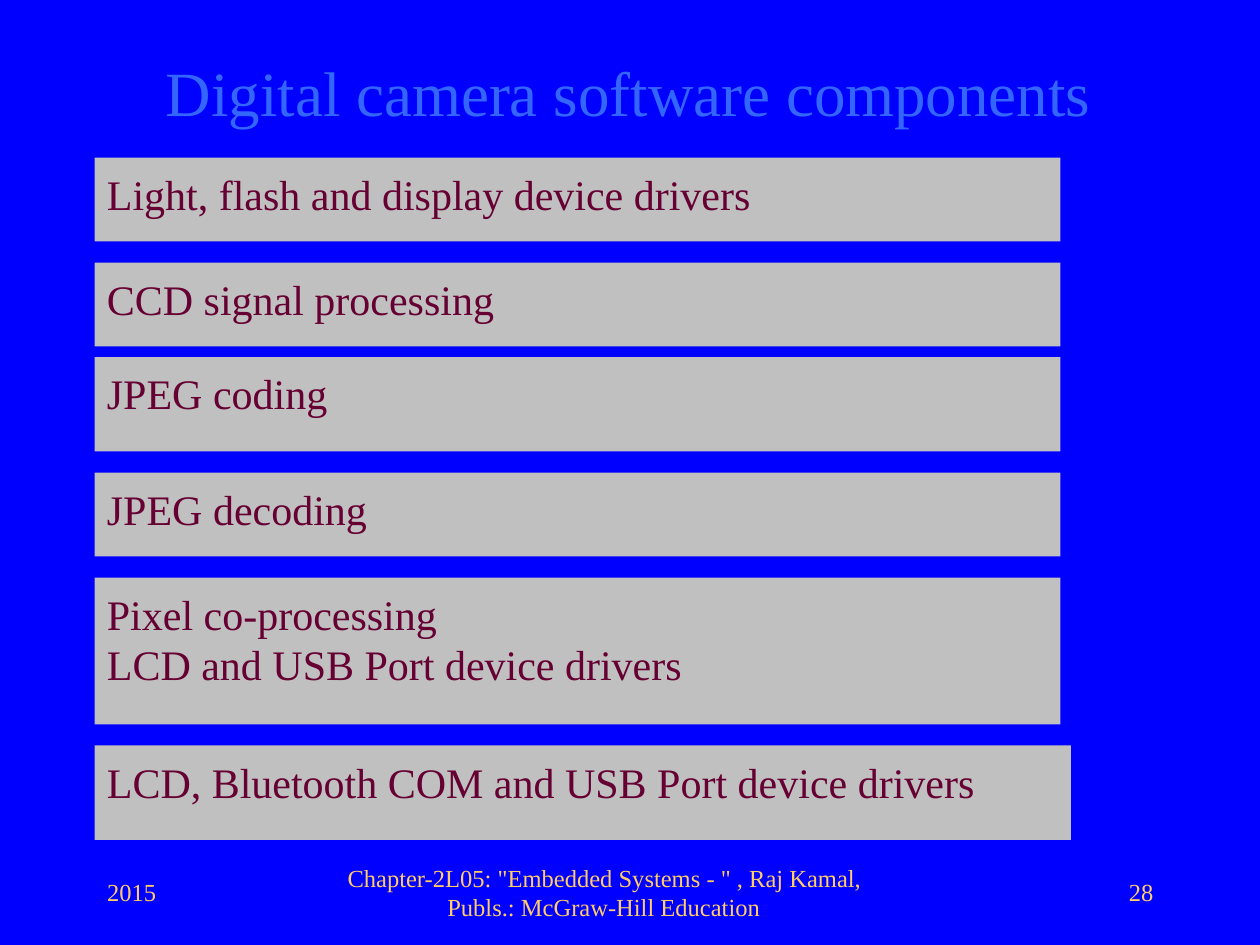
from dataclasses import dataclass

from pptx import Presentation
from pptx.dml.color import RGBColor
from pptx.enum.shapes import MSO_SHAPE as Preset
from pptx.enum.text import MSO_ANCHOR as Anchor, MSO_AUTO_SIZE as AutoSize, PP_ALIGN as Align
from pptx.shapes.base import BaseShape
from pptx.slide import Slide
from pptx.util import Emu, Pt

PX = 914400 // 120  # EMU in one px, 120 px to the inch


@dataclass(frozen=True)
class Theme:
    font: str = "Times New Roman"
    background: str = "0000FF"
    title: str = "3366FF"
    bar: str = "C0C0C0"
    bar_text: str = "660033"
    footer: str = "FFCC66"
    title_size: int = 36
    bar_size: int = 24
    footer_size: int = 14


@dataclass(frozen=True)
class Box:
    left: int
    top: int
    width: int
    height: int


@dataclass(frozen=True)
class Component:
    text: str
    height: int = 80
    gap: int = 20
    width: int = 920


@dataclass(frozen=True)
class Footer:
    text: str
    box: Box
    line_spacing: float
    margin: int
    indent: int = 0


THEME = Theme()
BAR_LEFT, FIRST_BAR_TOP = 90, 150
COMPONENTS = [
    Component("Light, flash and display device drivers"),
    Component("CCD signal processing", gap=10),
    Component("JPEG coding", height=90),
    Component("JPEG decoding"),
    Component("Pixel co-processing\nLCD and USB Port device drivers", height=140),
    Component("LCD, Bluetooth COM and USB Port device drivers", height=90, width=930),
]
FOOTERS = [
    Footer("2015", Box(101, 836, 50, 29), 16.3, 1),
    Footer('Chapter-2L05: "Embedded Systems - " , Raj Kamal, Publs.: McGraw-Hill Education',
           Box(329, 822, 500, 58), 16.8, 97, -95),
    Footer("28", Box(1072, 836, 30, 29), 16.3, 3),
]


def px(length: int) -> Emu:
    return Emu(length * PX)


def place(shape: BaseShape, box: Box) -> None:
    shape.left, shape.top = px(box.left), px(box.top)
    shape.width, shape.height = px(box.width), px(box.height)


def write(shape: BaseShape, text: str, size: int, color: str,
          inset_left: int = 0, inset_top: int = 0) -> None:
    """Fill the shape with left-aligned text that starts at its top."""
    frame = shape.text_frame
    frame.text = text
    frame.word_wrap = True
    frame.auto_size = AutoSize.NONE
    frame.vertical_anchor = Anchor.TOP
    frame.margin_left, frame.margin_top = px(inset_left), px(inset_top)
    frame.margin_right = frame.margin_bottom = 0
    for para in frame.paragraphs:
        para.alignment = Align.LEFT
        para.space_before = Pt(0)
        for span in para.runs:
            span.font.name = THEME.font
            span.font.size = Pt(size)
            span.font.color.rgb = RGBColor.from_string(color)


def add_bar(page: Slide, component: Component, top: int) -> None:
    bar = page.shapes.add_shape(Preset.RECTANGLE, 0, 0, 0, 0)
    place(bar, Box(BAR_LEFT, top, component.width, component.height))
    bar.shadow.inherit = False
    bar.fill.solid()
    bar.fill.fore_color.rgb = RGBColor.from_string(THEME.bar)
    bar.line.fill.background()
    write(bar, component.text, THEME.bar_size, THEME.bar_text, inset_left=12, inset_top=10)


def add_footer(page: Slide, footer: Footer) -> None:
    box = page.shapes.add_textbox(0, 0, 0, 0)
    place(box, footer.box)
    write(box, footer.text, THEME.footer_size, THEME.footer)
    para = box.text_frame.paragraphs[0]
    para.line_spacing = Pt(footer.line_spacing)
    properties = para._p.get_or_add_pPr()
    properties.set("marL", str(px(footer.margin)))
    properties.set("indent", str(px(footer.indent)))


def main() -> None:
    deck = Presentation()
    deck.slide_width, deck.slide_height = px(1200), px(900)
    page = deck.slides.add_slide(deck.slide_layouts[5])
    page.background.fill.solid()
    page.background.fill.fore_color.rgb = RGBColor.from_string(THEME.background)

    title = page.shapes.title
    place(title, Box(157, 45, 886, 76))
    write(title, "Digital camera software components", THEME.title_size, THEME.title,
          inset_left=1, inset_top=6)

    top = FIRST_BAR_TOP
    for component in COMPONENTS:
        add_bar(page, component, top)
        top += component.height + component.gap
    for footer in FOOTERS:
        add_footer(page, footer)
    deck.save("out.pptx")


if __name__ == "__main__":
    main()
